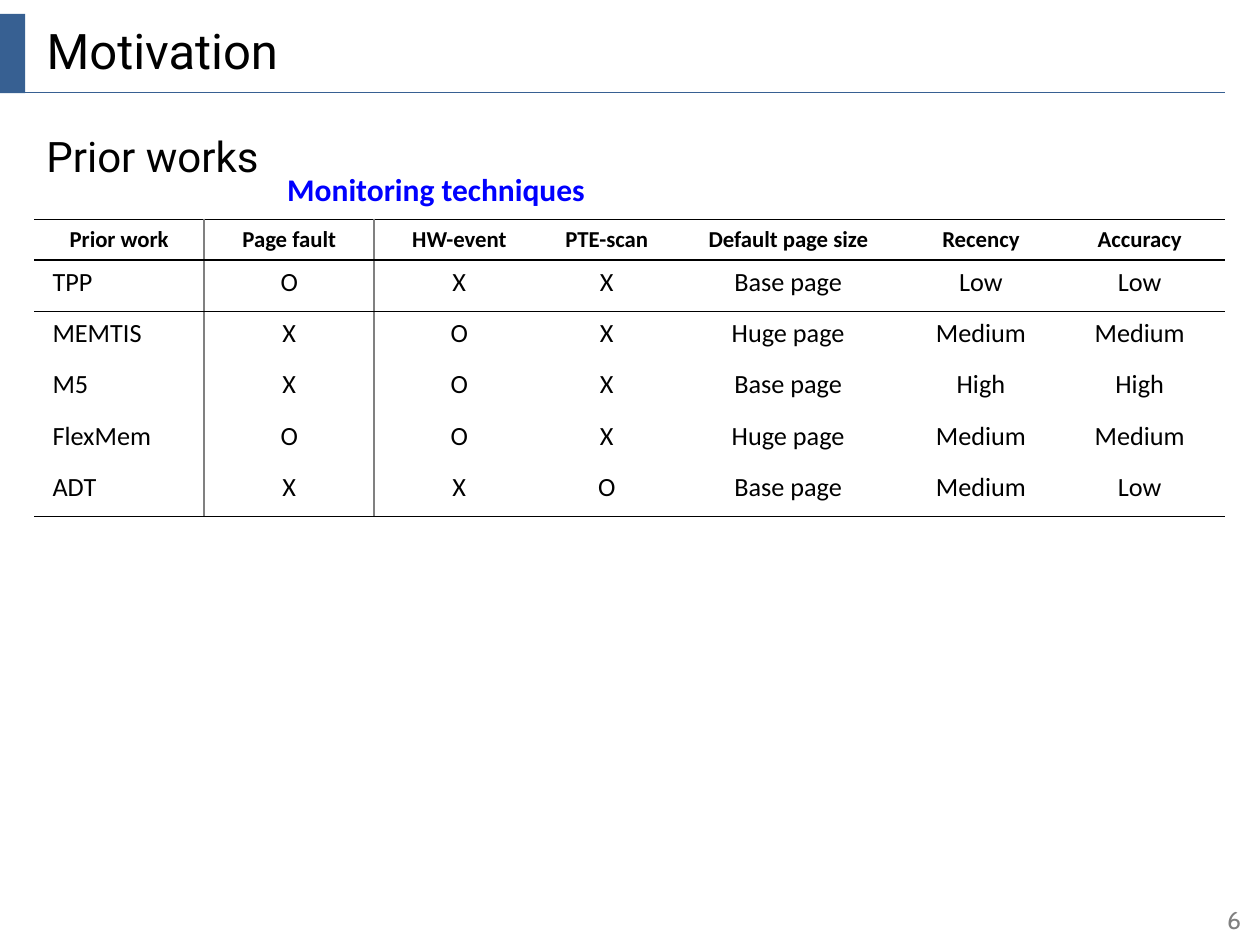
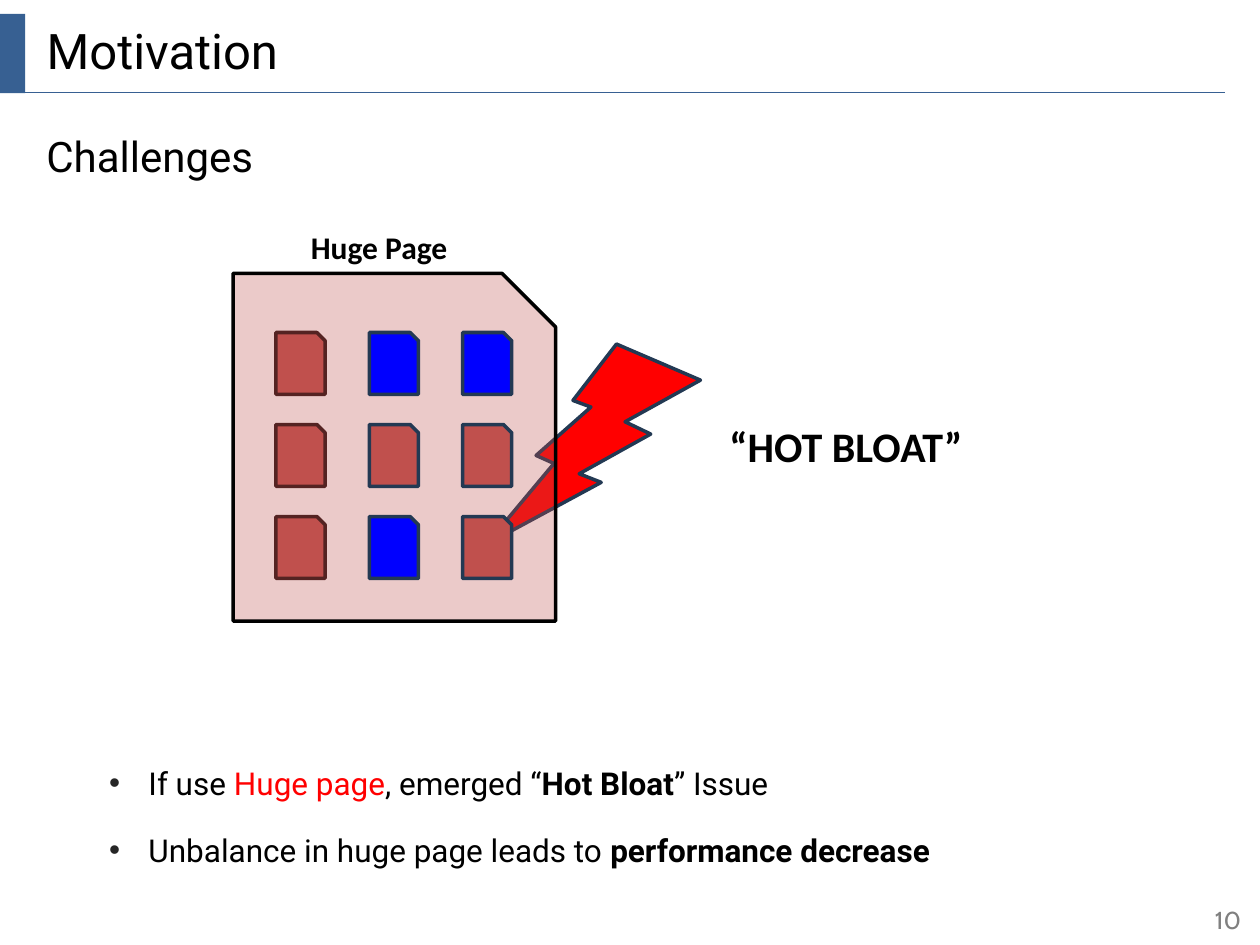
import pptx
import pptx.util
import pptx.dml.color
import pptx.enum.shapes
import pptx.enum.text
import pptx.oxml
import pptx.oxml.ns
from lxml import etree

Pt = pptx.util.Pt
SHAPE = pptx.enum.shapes.MSO_SHAPE
ALIGN = pptx.enum.text.PP_ALIGN
MID = pptx.enum.text.MSO_ANCHOR.MIDDLE
qn = pptx.oxml.ns.qn

# Content
TITLE = "Motivation"
HEADS = ["Prior work", "Page fault", "HW-event", "PTE-scan",
         "Default page size", "Recency", "Accuracy"]
WORKS = [
    ["TPP", "O", "X", "X", "Base page", "Low", "Low"],
    ["MEMTIS", "X", "O", "X", "Huge page", "Medium", "Medium"],
    ["M5", "X", "O", "X", "Base page", "High", "High"],
    ["FlexMem", "O", "O", "X", "Huge page", "Medium", "Medium"],
    ["ADT", "X", "X", "O", "Base page", "Medium", "Low"],
]
WIDTHS = [97.2, 97.2, 97.2, 71.3, 136.1, 84.2, 97.2]
PAGES = ["hot cold cold", "hot hot hot", "hot cold hot"]
BLACK, GREY, BLUE, RED = "000000", "808080", "0000FF", "FF0000"
BAND, NAVY, BRICK, MAROON = "376092", "233953", "C0504D", "542322"
HEAT = {"hot": BRICK, "cold": BLUE}
# Each run: text, colour, bold
POINTS = [
    [("If use ", BLACK, False), ("Huge page", RED, False),
     (", emerged “", BLACK, False), ("Hot Bloat", BLACK, True),
     ("” Issue", BLACK, False)],
    [("Unbalance in huge page leads to ", BLACK, False),
     ("performance decrease", BLACK, True)],
]
LEFT, WIDE = 19.44, 680.4


# Helpers
def paint(code):
    return pptx.dml.color.RGBColor.from_string(code)


def add_run(para, text, size, face, code=BLACK, bold=False):
    run = para.add_run()
    run.text = text
    font = run.font
    font.size, font.name, font.bold = Pt(size), face, bold
    font.color.rgb = paint(code)


def add_text(slide, box, text, size, face, code=BLACK, bold=False, wrap=False):
    frame = slide.shapes.add_textbox(*map(Pt, box)).text_frame
    frame.word_wrap = wrap
    add_run(frame.paragraphs[0], text, size, face, code, bold)
    return frame


def add_form(slide, kind, box, fill, line=None, alpha=None):
    form = slide.shapes.add_shape(kind, *map(Pt, box))
    form.shadow.inherit = False
    form.fill.solid()
    form.fill.fore_color.rgb = paint(fill)
    if alpha:
        tint = form.fill._xPr.find(".//" + qn("a:srgbClr"))
        etree.SubElement(tint, qn("a:alpha"), val=str(alpha * 1000))
    if line:
        form.line.color.rgb = paint(line)
        form.line.width = Pt(2)
    else:
        form.line.fill.background()
    return form


def start_slide(deck, head, page):
    slide = deck.slides.add_slide(deck.slide_layouts[5])
    # Title band and rule
    add_form(slide, SHAPE.RECTANGLE, (0, 7.9, 14.4, 45.4), BAND)
    rule = slide.shapes.add_connector(
        pptx.enum.shapes.MSO_CONNECTOR.STRAIGHT, 0, Pt(52.9), Pt(700.2), Pt(52.9))
    rule.line.color.rgb = paint(BAND)
    rule.line.width = Pt(0.75)
    etree.SubElement(rule._element.spPr, qn("a:effectLst"))
    # Title
    title = slide.shapes.title
    title.left, title.top, title.width, title.height = map(Pt, (LEFT, 0, WIDE, 57.6))
    frame = title.text_frame
    frame.auto_size = pptx.enum.text.MSO_AUTO_SIZE.NONE
    frame.vertical_anchor = MID
    frame.paragraphs[0].alignment = ALIGN.LEFT
    add_run(frame.paragraphs[0], TITLE, 28, "Roboto")
    # Section heading and page number
    add_text(slide, (LEFT, 71.3, WIDE, 36), head, 24, "Roboto", wrap=True)
    foot = add_text(slide, (622, 511.2, 98, 28.8), page, 14, "Cabin", GREY, wrap=True)
    foot.vertical_anchor = MID
    foot.margin_right = Pt(10.8)
    foot.paragraphs[0].alignment = ALIGN.RIGHT
    return slide


def add_edge(cell, side, code):
    edge = etree.SubElement(cell._tc.get_or_add_tcPr(), qn("a:ln" + side), w="12700")
    fill = etree.SubElement(edge, qn("a:solidFill"))
    etree.SubElement(fill, qn("a:srgbClr"), val=code)


def add_grid(slide):
    rows = [HEADS] + WORKS
    highs = [23.4] + [29.3] * len(WORKS)
    grid = slide.shapes.add_table(len(rows), len(HEADS), Pt(LEFT), Pt(125.3),
                                  Pt(sum(WIDTHS)), Pt(sum(highs))).table
    grid.first_row = grid.horz_banding = False
    # Plain style without grid lines
    style = grid._tbl.tblPr.find(qn("a:tableStyleId"))
    style.text = "{2D5ABB26-0587-4C30-8999-92F81FD0307C}"
    for col, width in zip(grid.columns, WIDTHS):
        col.width = Pt(width)
    for r, (row, high) in enumerate(zip(rows, highs)):
        grid.rows[r].height = Pt(high)
        for c, text in enumerate(row):
            cell = grid.cell(r, c)
            para = cell.text_frame.paragraphs[0]
            if r and not c:
                cell.margin_left = Pt(10.6)
            else:
                para.alignment = ALIGN.CENTER
            add_run(para, text, 15 if r else 13, "Calibri", bold=not r)
            edges = [("L", GREY, c == 1), ("R", GREY, c == 0),
                     ("T", BLACK, r < 2), ("B", BLACK, r in (0, len(WORKS)))]
            for side, code, shown in edges:
                if shown:
                    add_edge(cell, side, code)
            cell.fill.background()


def add_points(slide):
    frame = slide.shapes.add_textbox(*map(Pt, (LEFT, 432.8, WIDE, 66))).text_frame
    frame.word_wrap = True
    for i, runs in enumerate(POINTS):
        para = frame.add_paragraph() if i else frame.paragraphs[0]
        props = para._p.get_or_add_pPr()
        props.set("marL", str(Pt(58.3)))
        props.set("indent", str(-Pt(22.5)))
        tint = etree.SubElement(props, qn("a:buClr"))
        etree.SubElement(tint, qn("a:srgbClr"), val="262626")
        etree.SubElement(props, qn("a:buFont"), typeface="Arial")
        etree.SubElement(props, qn("a:buChar"), char="•")
        if i:
            para.space_before = Pt(17)
        for text, code, bold in runs:
            add_run(para, text, 18, "Roboto", code, bold)


def add_pages(slide):
    bolt = add_form(slide, SHAPE.LIGHTNING_BOLT, (277.9, 196.6, 122.4, 114.5), RED, NAVY)
    bolt._element.spPr.find(qn("a:xfrm")).set("flipH", "1")
    add_form(slide, SHAPE.SNIP_1_RECTANGLE, (133.2, 156.2, 184.3, 198.7),
             BRICK, BLACK, alpha=30)
    # Base pages inside the huge page
    for r, row in enumerate(PAGES):
        for c, heat in enumerate(row.split()):
            box = (157.7 + 53.3 * c, 190 + 52.6 * r, 28.1, 35.3)
            add_form(slide, SHAPE.SNIP_1_RECTANGLE, box, HEAT[heat], NAVY if c else MAROON)


def main():
    deck = pptx.Presentation()
    deck.slide_width, deck.slide_height = Pt(720), Pt(540)

    # Prior works
    slide = start_slide(deck, "Prior works", "6")
    add_grid(slide)
    add_text(slide, (157, 93.6, 205.2, 28.8), "Monitoring techniques", 18,
             "Calibri", BLUE, True)

    # Challenges
    slide = start_slide(deck, "Challenges", "10")
    add_pages(slide)
    add_text(slide, (170.6, 126.7, 96.5, 28.8), "Huge Page", 18, "Calibri", bold=True)
    add_text(slide, (409.7, 236.9, 147.6, 36), "“HOT BLOAT”", 24, "Calibri", bold=True)
    add_points(slide)

    deck.save("out.pptx")


if __name__ == "__main__":
    main()
